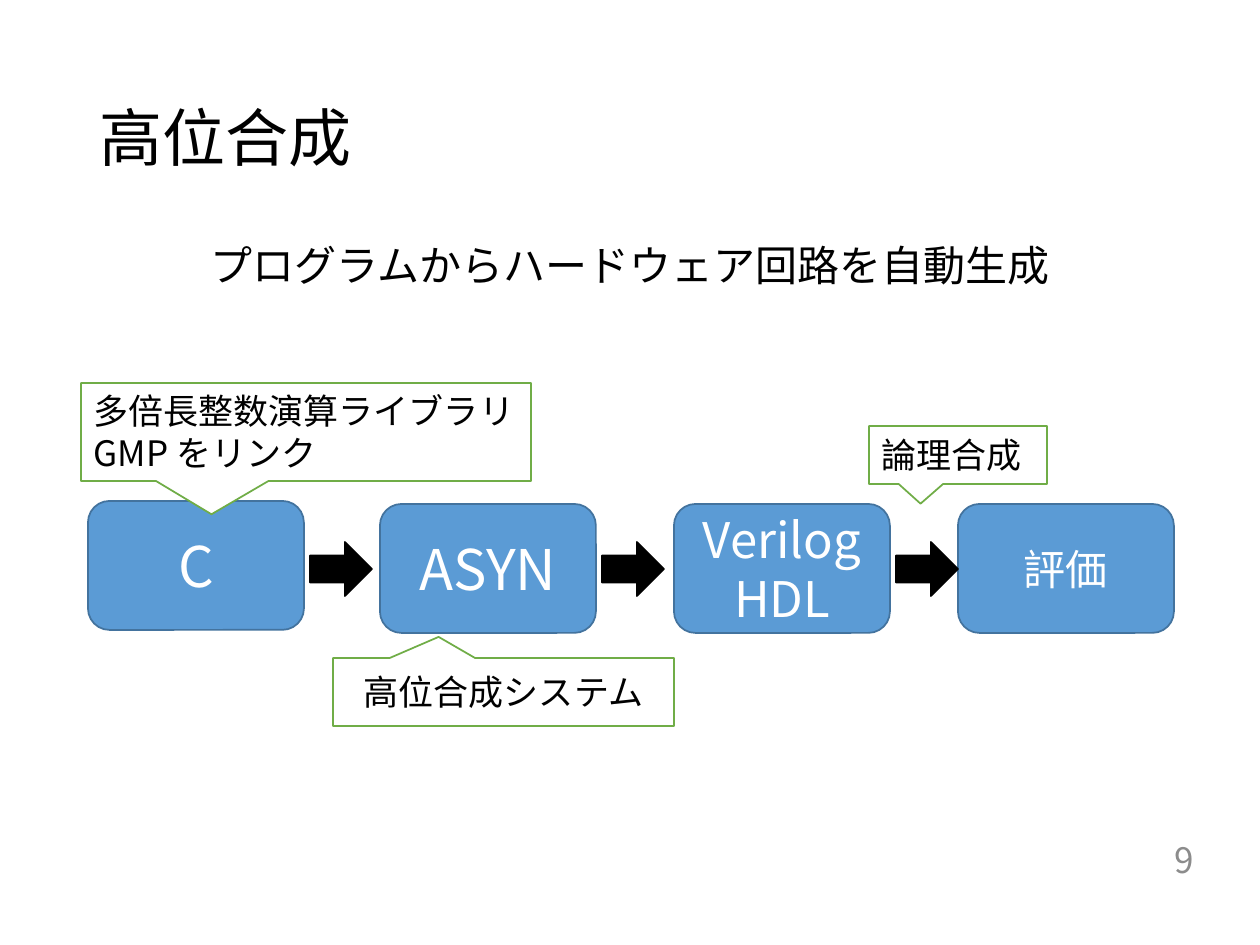
from lxml.etree import SubElement
from pptx import Presentation
from pptx.dml.color import RGBColor
from pptx.enum.shapes import MSO_SHAPE
from pptx.enum.text import MSO_ANCHOR, PP_ALIGN
from pptx.oxml.ns import qn
from pptx.util import Pt

PX = 914400 // 126
FONT = "Noto Sans CJK JP"
COLORS = {
    "text": "000000",
    "number": "8C8C8C",
    "step": "5B9BD5",
    "step_line": "43739E",
    "callout_line": "70AD47",
    "white": "FFFFFF",
    "arrow": "000000",
}


def rgb(name):
    """Return the named palette colour."""
    return RGBColor.from_string(COLORS[name])


def emu(*box):
    """Turn pixel lengths into EMU."""
    return [v * PX for v in box]


def write(s, text, size=20, color="text", align=PP_ALIGN.LEFT,
          anchor=MSO_ANCHOR.MIDDLE, spacing=None):
    """Fill a shape with text, one paragraph a line."""
    tf = s.text_frame
    tf.word_wrap = True
    tf.vertical_anchor = anchor
    for i, line in enumerate(text.split("\n")):
        p = tf.add_paragraph() if i else tf.paragraphs[0]
        p.alignment = align
        if spacing:
            p.line_spacing = spacing
        r = p.add_run()
        r.text = line
        r.font.size = Pt(size)
        r.font.name = FONT
        r.font.color.rgb = rgb(color)
        SubElement(r.font._element, qn("a:ea")).set("typeface", FONT)


def add_text(sp, box, text, **fmt):
    """Add a text box."""
    write(sp.add_textbox(*emu(*box)), text, **fmt)


def add_shape(sp, kind, box, fill, line):
    """Add a flat preset shape."""
    s = sp.add_shape(kind, *emu(*box))
    s.shadow.inherit = False
    s.fill.solid()
    s.fill.fore_color.rgb = rgb(fill)
    s.line.color.rgb = rgb(line)
    s.line.width = Pt(1)
    return s


def add_step(sp, x, y, text, size):
    """Add one rounded box of the flow."""
    s = add_shape(sp, MSO_SHAPE.ROUNDED_RECTANGLE, (x, y, 216, 129), "step", "step_line")
    write(s, text, size=size, color="white", align=PP_ALIGN.CENTER)


def add_arrow(sp, x):
    """Add one block arrow between steps."""
    add_shape(sp, MSO_SHAPE.RIGHT_ARROW, (x, 542, 62, 54), "arrow", "arrow")


def add_callout(sp, box, tip, text, **fmt):
    """Add a callout whose pointer ends at the relative tip."""
    s = add_shape(sp, MSO_SHAPE.RECTANGULAR_CALLOUT, box, "white", "callout_line")
    s.adjustments[0], s.adjustments[1] = tip
    write(s, text, **fmt)


def main():
    """Build the slide and save it."""
    prs = Presentation()
    prs.slide_width, prs.slide_height = emu(1260, 945)
    sp = prs.slides.add_slide(prs.slide_layouts[6]).shapes

    add_text(sp, (87, 50, 1086, 183), "高位合成", size=36, spacing=0.9)
    add_text(sp, (922, 835, 284, 50), "9", color="number", align=PP_ALIGN.RIGHT)

    steps = [(88, 501, "C", 32), (380, 504, "ASYN", 32),
             (674, 504, "Verilog HDL", 28), (958, 504, "評価", 24)]
    for step in steps:
        add_step(sp, *step)
    for x in (310, 602, 896):
        add_arrow(sp, x)

    down = (-0.21, 0.84)
    add_callout(sp, (81, 383, 450, 98), down, "多倍長整数演算ライブラリ\nGMP をリンク")
    add_callout(sp, (333, 658, 341, 68), (-0.19, -0.81), "高位合成システム",
                align=PP_ALIGN.CENTER)
    add_text(sp, (87, 233, 1086, 63), "プログラムからハードウェア回路を自動生成",
             size=24, align=PP_ALIGN.CENTER, anchor=MSO_ANCHOR.TOP)
    add_callout(sp, (869, 426, 178, 58), down, "論理合成")

    prs.save("out.pptx")


if __name__ == "__main__":
    main()
